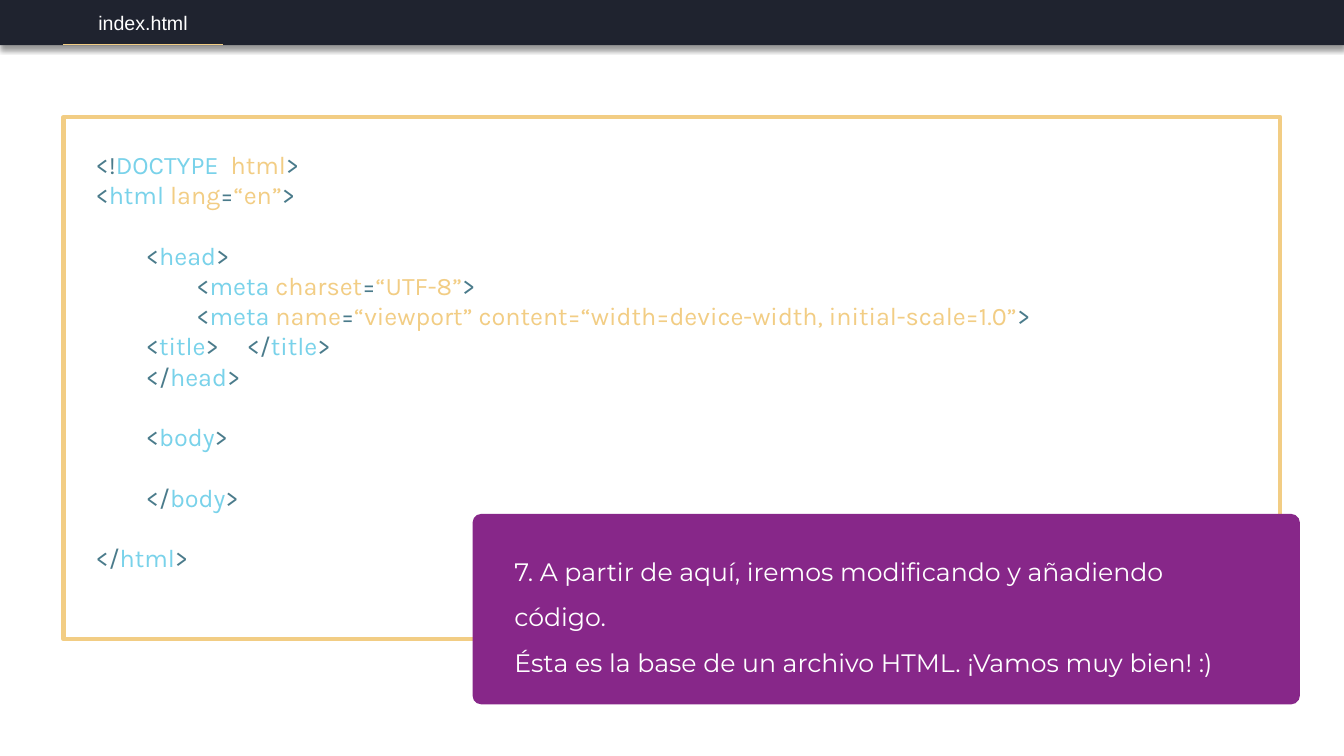
from pptx import Presentation
from pptx.dml.color import RGBColor
from pptx.enum.shapes import MSO_CONNECTOR as Connector, MSO_SHAPE as Preset
from pptx.enum.text import MSO_ANCHOR as Anchor, PP_ALIGN as Align
from pptx.oxml import parse_xml
from pptx.oxml.ns import nsdecls
from pptx.util import Cm, Pt

WHITE, YELLOW, PURPLE, NAVY = "FFFFFF", "F2CD84", "872789", "1F232F"
MARK, TAG, ATTRIBUTE = "4A7B8B", "79D2EA", YELLOW
INDENT = 1.27
BLANK_LINE = 21.6
TITLE_STOPS = (2 * INDENT, 7.42)


def color(value):
    return RGBColor.from_string(value)


def add_xml(parent, xml):
    head, rest = xml.split(" ", 1) if " " in xml else (xml[:-2], "/>")
    parent.append(parse_xml(f"{head} {nsdecls('a')} {rest}"))


def add_box(slide, preset, box, fill=None, line=None, line_width=0):
    shape = slide.shapes.add_shape(preset, *map(Cm, box))
    shape.shadow.inherit = False
    if fill:
        shape.fill.solid()
        shape.fill.fore_color.rgb = color(fill)
    else:
        shape.fill.background()
    if line:
        shape.line.color.rgb = color(line)
        shape.line.width = Pt(line_width)
    else:
        shape.line.fill.background()
    return shape


def write_paragraph(frame, runs, first=False, font="Arial", size=18, align=Align.LEFT,
                    spacing=None, before=0, left=0, stops=()):
    paragraph = frame.paragraphs[0] if first else frame.add_paragraph()
    paragraph.alignment = align
    paragraph.line_spacing = spacing
    paragraph.space_before = Pt(before)
    properties = paragraph._p.get_or_add_pPr()
    properties.set("marL", str(Cm(left)))
    properties.set("indent", "0")
    if stops:
        tabs = "".join(f'<a:tab pos="{Cm(stop)}" algn="l"/>' for stop in stops)
        add_xml(properties, f"<a:tabLst >{tabs}</a:tabLst>")
    for text, run_color in runs:
        run = paragraph.add_run()
        run.text = text
        run.font.name = font
        run.font.size = Pt(size)
        run.font.color.rgb = color(run_color)


def set_margins(frame, horizontal, vertical):
    frame.word_wrap = True
    frame.margin_left = frame.margin_right = Cm(horizontal)
    frame.margin_top = frame.margin_bottom = Cm(vertical)


def add_text_frame(slide, box):
    frame = slide.shapes.add_textbox(*map(Cm, box)).text_frame
    set_margins(frame, 0.25, 0.13)
    return frame


def opening(name, *attributes):
    return [("<", MARK), (name, TAG), *attributes, (">", MARK)]


def closing(name):
    return [("</", MARK), (name, TAG), (">", MARK)]


def assigned(name, value):
    return [(name, ATTRIBUTE), ("=", MARK), (value, ATTRIBUTE)]


def draw_code_panel(slide, box):
    left, top, width, height = box
    frame = add_text_frame(slide, (left + 0.56, top + 0.68, width - 0.71, height - 2.14))
    viewport = "“viewport” content=“width=device-width, initial-scale=1.0”"
    title = [("\t", MARK), *opening("title"), ("\t", MARK), *closing("title")]
    code = [
        (0, 0, [("<!", MARK), ("DOCTYPE  ", TAG), ("html", ATTRIBUTE), (">", MARK)]),
        (0, 0, opening("html ", *assigned("lang", "“en”"))),
        (1, 1, opening("head")),
        (2, 0, opening("meta ", *assigned("charset", "“UTF-8”"))),
        (2, 0, opening("meta ", *assigned("name", viewport))),
        (0, 0, title),
        (1, 0, closing("head")),
        (1, 1, opening("body")),
        (1, 1, closing("body")),
        (0, 1, closing("html")),
    ]
    for number, (level, blanks, runs) in enumerate(code):
        write_paragraph(frame, runs, first=number == 0, font="Karla",
                        before=blanks * BLANK_LINE, left=level * INDENT,
                        stops=TITLE_STOPS if runs is title else ())
    add_box(slide, Preset.RECTANGLE, box, line=YELLOW, line_width=3)


def draw_tab_bar(slide, box):
    left, top, width, height = box
    bar = add_box(slide, Preset.RECTANGLE, box, fill=NAVY)
    effects = bar._element.spPr.find("{*}effectLst")
    add_xml(effects, f'<a:outerShdw blurRad="{Pt(4)}" dist="{Pt(3)}" dir="5400000" '
                     'algn="t" rotWithShape="0"><a:srgbClr val="000000">'
                     '<a:alpha val="40000"/></a:srgbClr></a:outerShdw>')
    tab_left, tab_width = left + 1.6, 4.01
    frame = add_text_frame(slide, (tab_left, top + 0.15, tab_width, 0.86))
    write_paragraph(frame, [("index.html", WHITE)], first=True, size=14, align=Align.CENTER)
    bottom = top + height - 0.02
    underline = slide.shapes.add_connector(
        Connector.STRAIGHT, *map(Cm, (tab_left, bottom, tab_left + tab_width, bottom)))
    underline.line.color.rgb = color(YELLOW)
    underline.line.width = Pt(1.25)
    add_xml(underline._element.spPr, "<a:effectLst/>")


def draw_note(slide, box):
    note = add_box(slide, Preset.ROUNDED_RECTANGLE, box, fill=PURPLE)
    note.adjustments[0] = 0.046
    frame = note.text_frame
    set_margins(frame, 0.99, 0.3)
    frame.vertical_anchor = Anchor.MIDDLE
    sentences = ("7. A partir de aquí, iremos modificando y añadiendo código.",
                 "Ésta es la base de un archivo HTML. ¡Vamos muy bien! :)")
    for number, sentence in enumerate(sentences):
        write_paragraph(frame, [(sentence, WHITE)], first=number == 0,
                        font="Montserrat", spacing=1.5)


def main():
    presentation = Presentation()
    presentation.slide_width, presentation.slide_height = Cm(33.87), Cm(19.05)
    slide = presentation.slides.add_slide(presentation.slide_layouts[6])
    draw_code_panel(slide, (1.6, 2.95, 30.66, 13.16))
    draw_tab_bar(slide, (0, 0, 33.87, 1.14))
    draw_note(slide, (11.91, 12.95, 20.85, 4.8))
    presentation.save("out.pptx")


if __name__ == "__main__":
    main()
